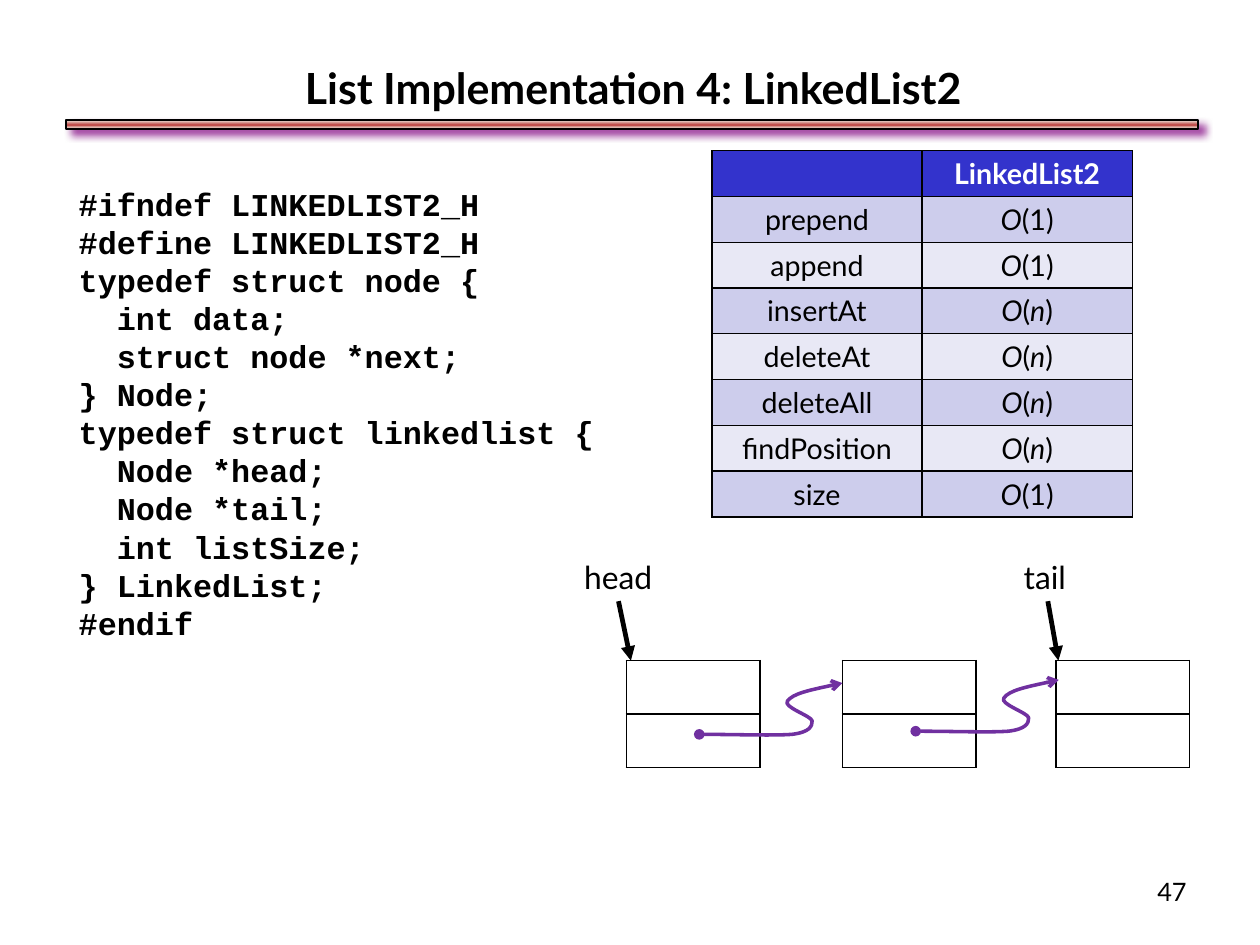
from dataclasses import dataclass
from itertools import groupby

from lxml.etree import SubElement
from pptx import Presentation
from pptx.dml.color import RGBColor
from pptx.enum.shapes import MSO_CONNECTOR, MSO_SHAPE
from pptx.enum.text import MSO_ANCHOR, PP_ALIGN
from pptx.oxml.ns import qn
from pptx.util import Cm, Pt


@dataclass(frozen=True)
class Theme:
    text_font: str = "Lato"
    code_font: str = "Courier New"
    ink: str = "000000"
    header: str = "3333CC"
    header_ink: str = "FFFFFF"
    bands: tuple = ("CDCDEC", "E8E8F5")
    link: str = "7030A0"
    rule_edge: str = "EEECE1"
    rule_core: str = "C0504D"
    rule_shadow: str = "800080"
    title_size: int = 27
    body_size: int = 20
    table_size: int = 18
    number_size: int = 16
    code_pitch: int = 24
    border: float = 0.96


CODE = """#ifndef LINKEDLIST2_H
#define LINKEDLIST2_H
typedef struct node {
  int data;
  struct node *next;
} Node;
typedef struct linkedlist {
  Node *head;
  Node *tail;
  int listSize;
} LinkedList;
#endif"""

COSTS = [
    ("prepend", "O(1)"), ("append", "O(1)"), ("insertAt", "O(n)"),
    ("deleteAt", "O(n)"), ("deleteAll", "O(n)"),
    ("findPosition", "O(n)"), ("size", "O(1)"),
]

LINK_CURVE = [
    (0.81, 0), (1.63, 0.03), (2.06, 0),
    (2.46, -0.05), (2.51, -0.18), (2.51, -0.3),
    (2.49, -0.41), (1.85, -0.61), (1.96, -0.74),
    (2.08, -0.91), (2.62, -1.02), (3.18, -1.14),
]


def add_color(parent, color, **changes):
    node = SubElement(parent, qn("a:srgbClr"), val=color)
    for name, value in changes.items():
        SubElement(node, qn("a:" + name), val=value)


class SlideBuilder:
    def __init__(self, page, theme):
        self.page = page
        self.theme = theme

    def span(self, para, text, size, color=None, font=None, bold=False, italic=False):
        run = para.add_run()
        run.text = text
        run.font.size = Pt(size)
        run.font.name = font or self.theme.text_font
        run.font.bold = bold
        run.font.italic = italic
        run.font.color.rgb = RGBColor.from_string(color or self.theme.ink)

    def title(self, text, left, top, width, height):
        holder = self.page.shapes.title
        holder.left, holder.top = Cm(left), Cm(top)
        holder.width, holder.height = Cm(width), Cm(height)
        holder.text_frame.vertical_anchor = MSO_ANCHOR.MIDDLE
        para = holder.text_frame.paragraphs[0]
        para.alignment = PP_ALIGN.CENTER
        self.span(para, text, self.theme.title_size, bold=True)

    def text(self, lines, left, top, width, height, size, align=PP_ALIGN.LEFT,
             wrap=True, pitch=None, font=None, bold=False):
        box = self.page.shapes.add_textbox(Cm(left), Cm(top), Cm(width), Cm(height))
        frame = box.text_frame
        frame.word_wrap = wrap
        for index, line in enumerate(lines):
            para = frame.add_paragraph() if index else frame.paragraphs[0]
            para.alignment = align
            if pitch:
                para.line_spacing = Pt(pitch)
            self.span(para, line, size, font=font, bold=bold)
        return box

    def rule(self, left, top, width, height):
        theme = self.theme
        bar = self.page.shapes.add_shape(
            MSO_SHAPE.RECTANGLE, Cm(left), Cm(top), Cm(width), Cm(height))
        bar.fill.gradient()
        bar.fill.gradient_angle = 90
        properties = bar._element.spPr
        stops = properties.find(".//" + qn("a:gsLst"))
        for stop in list(stops):
            stops.remove(stop)
        for position, color in ((0, theme.rule_edge), (50, theme.rule_core),
                                (100, theme.rule_edge)):
            add_color(SubElement(stops, qn("a:gs"), pos=str(position * 1000)), color)
        bar.line.color.rgb = RGBColor.from_string(theme.ink)
        bar.line.width = Pt(1)
        effects = SubElement(properties, qn("a:effectLst"))
        shadow = SubElement(effects, qn("a:outerShdw"), blurRad=str(Pt(5)),
                            dist=str(Pt(5)), dir=str(37 * 60000))
        add_color(shadow, theme.rule_shadow, alpha="75000")

    def borders(self, cell):
        properties = cell._tc.get_or_add_tcPr()
        for position, side in enumerate(("lnL", "lnR", "lnT", "lnB")):
            line = SubElement(properties, qn("a:" + side),
                              w=str(Pt(self.theme.border)))
            add_color(SubElement(line, qn("a:solidFill")), self.theme.ink)
            properties.insert(position, line)

    def table(self, rows, columns, left, top, column_width, row_height):
        table = self.page.shapes.add_table(
            rows, columns, Cm(left), Cm(top),
            Cm(column_width * columns), Cm(row_height * rows)).table
        for row in table.rows:
            row.height = Cm(row_height)
            for cell in row.cells:
                cell.fill.background()
                self.borders(cell)
        return table

    def cost_table(self, heading, costs, left, top, column_width, row_height):
        theme = self.theme
        table = self.table(len(costs) + 1, 2, left, top, column_width, row_height)
        for index, row in enumerate(table.rows):
            color = theme.bands[(index - 1) % 2] if index else theme.header
            for cell in row.cells:
                cell.fill.solid()
                cell.fill.fore_color.rgb = RGBColor.from_string(color)
                cell.text_frame.paragraphs[0].alignment = PP_ALIGN.CENTER
        self.span(table.cell(0, 1).text_frame.paragraphs[0], heading,
                  theme.table_size, theme.header_ink, bold=True)
        for index, (operation, cost) in enumerate(costs, 1):
            name, order = (cell.text_frame.paragraphs[0]
                           for cell in table.rows[index].cells)
            self.span(name, operation, theme.table_size)
            for is_letter, letters in groupby(cost, str.isalpha):
                self.span(order, "".join(letters), theme.table_size, italic=is_letter)

    def stroke(self, shape, color, width, **ends):
        shape.line.color.rgb = RGBColor.from_string(color)
        shape.line.width = Pt(width)
        line = shape.line._get_or_add_ln()
        for name, kind in ends.items():
            SubElement(line, qn("a:" + name), type=kind)

    def pointer(self, label, x, y):
        arrow = self.page.shapes.add_connector(
            MSO_CONNECTOR.STRAIGHT, Cm(x), Cm(y), Cm(x), Cm(y))
        arrow.begin_connect(label, 2)
        self.stroke(arrow, self.theme.ink, 3, tailEnd="triangle")
        SubElement(arrow._element.spPr, qn("a:effectLst"))

    def link(self, x, y):
        builder = self.page.shapes.build_freeform(Cm(x), Cm(y))
        builder.add_line_segments(
            [(Cm(x + across), Cm(y + down)) for across, down in LINK_CURVE], close=False)
        curve = builder.convert_to_shape()
        outline = curve._element.spPr.find(".//" + qn("a:path"))
        segments = outline.findall(qn("a:lnTo"))
        for start in range(0, len(segments), 3):
            bend = SubElement(outline, qn("a:cubicBezTo"))
            for segment in segments[start:start + 3]:
                bend.append(segment[0])
                outline.remove(segment)
        curve.fill.background()
        curve.shadow.inherit = False
        self.stroke(curve, self.theme.link, 2.25, headEnd="oval", tailEnd="arrow")


def main():
    theme = Theme()
    deck = Presentation()
    deck.slide_width, deck.slide_height = Cm(28), Cm(21)
    slide = SlideBuilder(deck.slides.add_slide(deck.slide_layouts[5]), theme)

    slide.rule(1.47, 2.67, 25.15, 0.2)
    slide.title("List Implementation 4: LinkedList2", 1.47, 1.24, 25.2, 1.4)
    slide.text(["47"], 20.78, 19.35, 5.84, 1.4, theme.number_size, PP_ALIGN.RIGHT)
    slide.text(CODE.splitlines(), 1.5, 3.97, 13, 10.5, theme.body_size,
               pitch=theme.code_pitch, font=theme.code_font, bold=True)

    for left in (13.92, 18.72, 23.47):
        slide.table(2, 1, left, 14.68, 2.97, 1.19)
    for name, left, width, target in (("head", 12.73, 2.03, 14.02),
                                      ("tail", 22.5, 1.57, 23.52)):
        label = slide.text([name], left, 12.27, width, 1.09, theme.body_size, wrap=False)
        slide.pointer(label, target, 14.68)
    for x, y in ((15.54, 16.32), (20.35, 16.25)):
        slide.link(x, y)

    slide.cost_table("LinkedList2", COSTS, 15.82, 3.35, 4.67, 1)
    deck.save("out.pptx")


if __name__ == "__main__":
    main()
